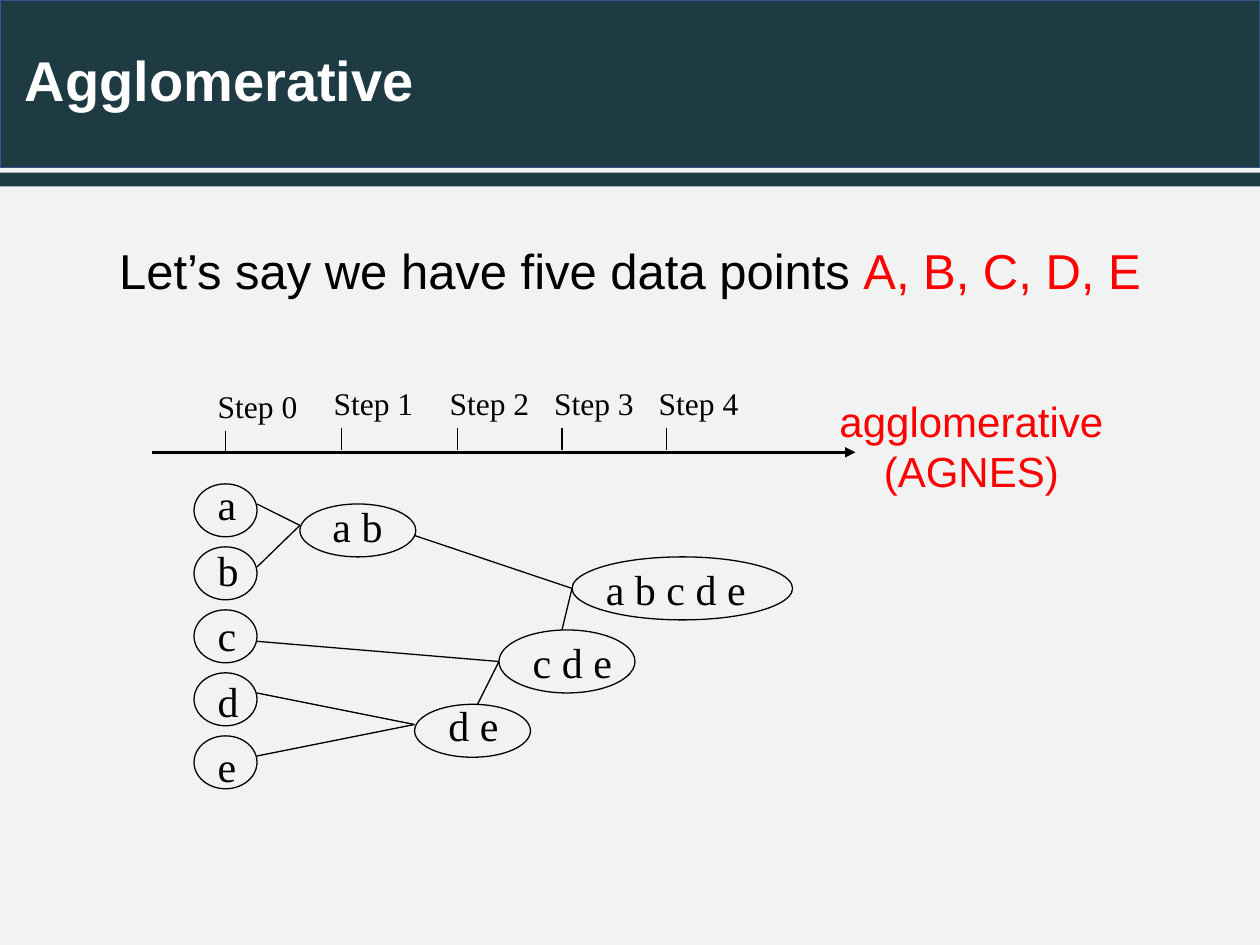
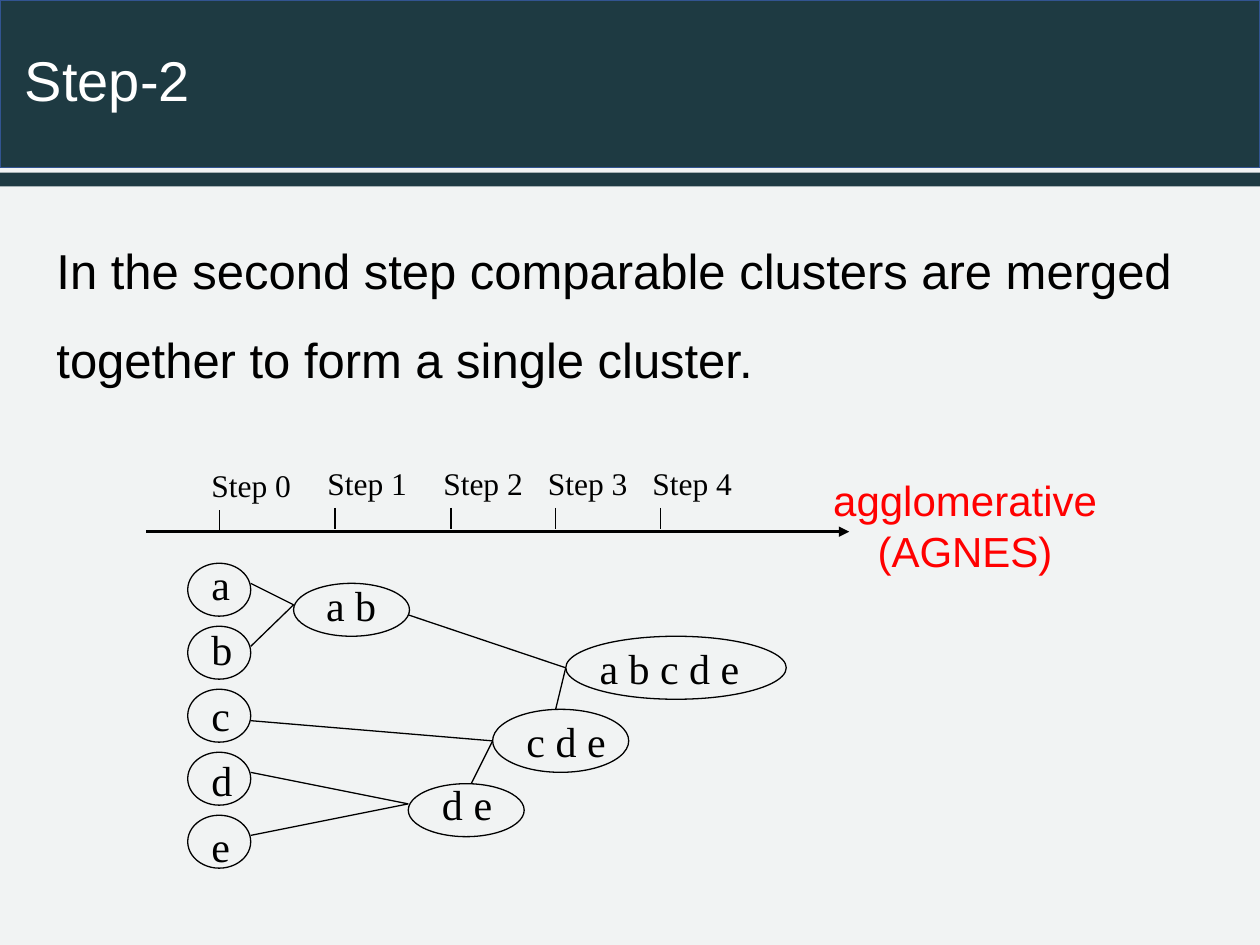
from dataclasses import dataclass
from lxml import etree
from pptx import Presentation
from pptx.dml.color import RGBColor
from pptx.enum.shapes import MSO_CONNECTOR, MSO_SHAPE
from pptx.enum.text import MSO_ANCHOR, PP_ALIGN
from pptx.oxml.ns import qn
from pptx.util import Inches, Pt

RECT, OVAL = MSO_SHAPE.RECTANGLE, MSO_SHAPE.OVAL
LINE = MSO_CONNECTOR.STRAIGHT
LEFT, MID = PP_ALIGN.LEFT, PP_ALIGN.CENTER
TOP, CENTER = MSO_ANCHOR.TOP, MSO_ANCHOR.MIDDLE


@dataclass(frozen=True)
class Theme:
    back: str = "F1F3F3"
    band: str = "1E3A42"
    edge: str = "325491"
    ink: str = "000000"
    pale: str = "FFFFFF"
    mark: str = "FF0000"
    sans: str = "Arial"
    serif: str = "Times New Roman"
    title: int = 32
    body: int = 28
    node: int = 24
    step: int = 18
    thin: float = 0.75
    thick: float = 1.5


T = Theme()

# Diagram parts, relative to the top left of its box
TICKS = (0.58, 1.5, 2.42, 3.25, 4.08)
NODES = (  # text, oval box, label left, top and width
    ("a b", (1.17, 1, 0.92, 0.42), (1.33, 0.92, 0.6)),
    ("d e", (2.08, 2.59, 0.92, 0.42), (2.25, 2.5, 0.6)),
    ("c d e", (2.75, 2, 1.08, 0.5), (2.92, 2, 0.83)),
    ("a b c d e", (3.33, 1.42, 1.75, 0.5), (3.5, 1.42, 1.31)),
)
LINKS = (
    (0.83, 1, 1.17, 1.17), (0.83, 1.5, 1.17, 1.17),
    (0.83, 2.5, 2.08, 2.75), (0.83, 3, 2.08, 2.75),
    (0.83, 2.09, 2.75, 2.25), (2.58, 2.59, 2.75, 2.25),
    (2.08, 1.25, 3.33, 1.67), (3.25, 2, 3.33, 1.67),
)


def rgb(code):
    return RGBColor.from_string(code)


def add_text(shapes, box, paras, size, font=T.sans, align=LEFT,
             anchor=TOP, space=None, bold=False, wrap=True):
    """Each paragraph is a list of (text, colour) runs."""
    frame = shapes.add_textbox(*map(Inches, box)).text_frame
    frame.word_wrap, frame.vertical_anchor = wrap, anchor
    for i, runs in enumerate(paras):
        para = frame.add_paragraph() if i else frame.paragraphs[0]
        para.alignment, para.line_spacing = align, space
        for text, color in runs:
            run = para.add_run()
            run.text = text
            run.font.name, run.font.size = font, Pt(size)
            run.font.bold, run.font.color.rgb = bold, rgb(color)


def add_form(shapes, kind, box, fill=None, line=None, width=T.thin):
    form = shapes.add_shape(kind, *map(Inches, box))
    form.shadow.inherit = False
    if fill:
        form.fill.solid()
        form.fill.fore_color.rgb = rgb(fill)
    else:
        form.fill.background()
    if line:
        form.line.color.rgb, form.line.width = rgb(line), Pt(width)
    else:
        form.line.fill.background()


def add_line(shapes, ends, width=T.thin, arrow=False):
    line = shapes.add_connector(LINE, *map(Inches, ends))
    line.line.color.rgb, line.line.width = rgb(T.ink), Pt(width)
    if arrow:
        etree.SubElement(line.line._get_or_add_ln(), qn("a:tailEnd"),
                         type="triangle")
    etree.SubElement(line._element.spPr, qn("a:effectLst"))


def add_base(deck, title, bold):
    """Background, header bands and title."""
    slide = deck.slides.add_slide(deck.slide_layouts[6])
    slide.background.fill.solid()
    slide.background.fill.fore_color.rgb = rgb(T.back)
    add_form(slide.shapes, RECT, (0, 0, 10, 1.33), T.band, T.edge, 1)
    add_form(slide.shapes, RECT, (0, 1.37, 10, 0.11), T.band)
    add_text(slide.shapes, (0.1, 0, 9.9, 1.33), [[(title, T.pale)]],
             T.title, anchor=CENTER, space=0.9, bold=bold)
    return slide


def add_tree(slide, left, top):
    """Step axis and merging clusters, placed from a top left corner."""
    shapes = slide.shapes.add_group_shape().shapes

    def put(x, y, *rest):
        return (left + x, top + y, *rest)

    def join(x1, y1, x2, y2):
        return put(x1, y1) + put(x2, y2)

    def label(text, x, y, wide):
        add_text(shapes, put(x, y, wide, 0.5), [[(text, T.ink)]],
                 T.node, T.serif, wrap=False)

    # Step axis
    add_line(shapes, join(0, 0.59, 5.58, 0.59), T.thick, arrow=True)
    for i, x in enumerate(TICKS):
        drop = 0 if i else 0.02
        add_line(shapes, join(x, 0.4 + drop, x, 0.57 + drop))
        add_text(shapes, put(x - 0.16, drop, 0.83, 0.4),
                 [[(f"Step {i}", T.ink)]], T.step, T.serif)

    # Single points
    for i, name in enumerate("abcde"):
        label(name, 0.42, 0.75 + 0.52 * i, 0.36)
        add_form(shapes, OVAL, put(0.33, 0.84 + 0.5 * i, 0.5, 0.42),
                 line=T.ink)

    # Merged clusters and their links
    for name, oval, spot in NODES:
        label(name, *spot)
        add_form(shapes, OVAL, put(*oval), line=T.ink)
    for link in LINKS:
        add_line(shapes, join(*link))

    # Method name
    add_text(shapes, put(5.32, 0.09, 2.36, 0.91),
             [[("agglomerative", T.mark)], [("(AGNES)", T.mark)]],
             T.node, align=MID, wrap=False)


def add_page(deck, title, runs, high, corner, align=LEFT, bold=False):
    slide = add_base(deck, title, bold)
    add_text(slide.shapes, (0.35, 1.63, 9.3, high), [runs], T.body,
             align=align, space=1.5)
    add_tree(slide, *corner)


def main():
    deck = Presentation()
    deck.slide_width, deck.slide_height = Inches(10), Inches(7.5)
    add_page(deck, "Agglomerative",
             [("Let’s say we have five data points ", T.ink),
              ("A, B, C, D, E", T.mark)],
             0.97, (1.21, 3), MID, bold=True)
    add_page(deck, "Step-2",
             [("In the second step comparable clusters are merged "
               "together to form a single cluster.", T.ink)],
             1.7, (1.16, 3.63))
    deck.save("out.pptx")


if __name__ == "__main__":
    main()
